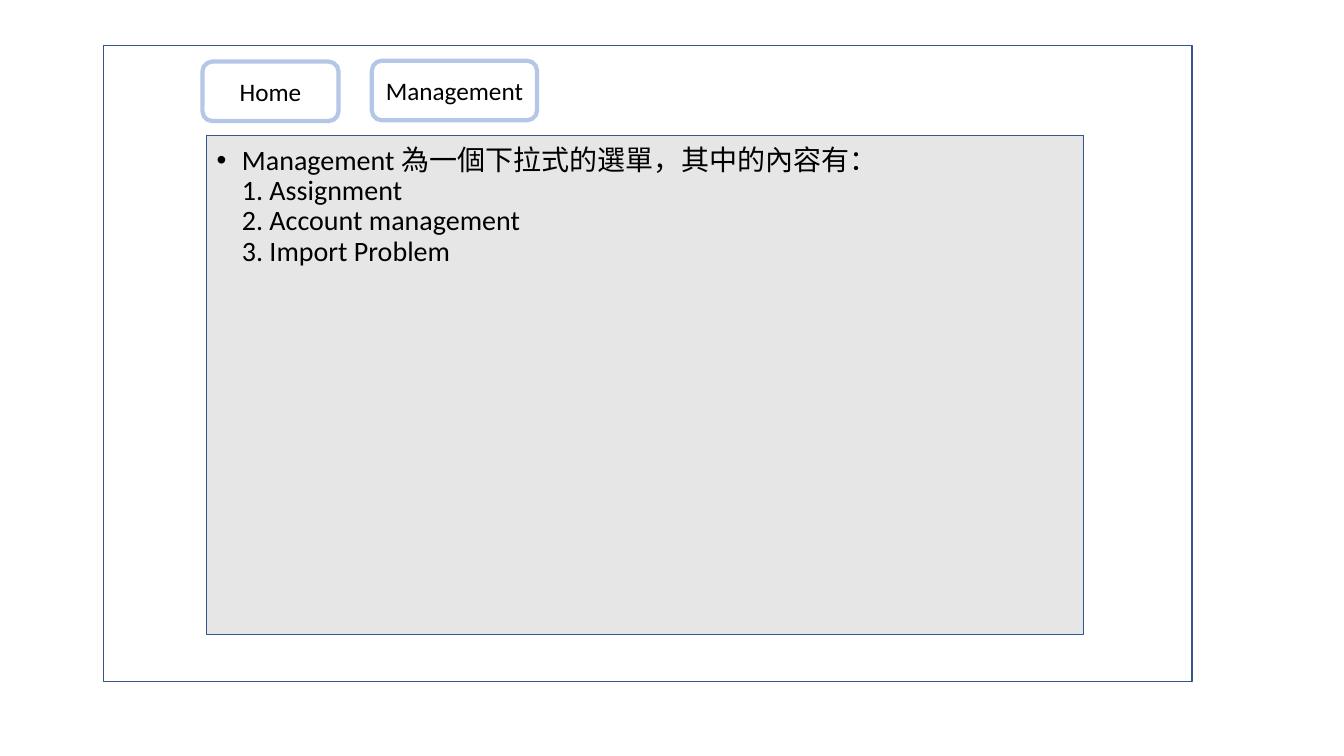
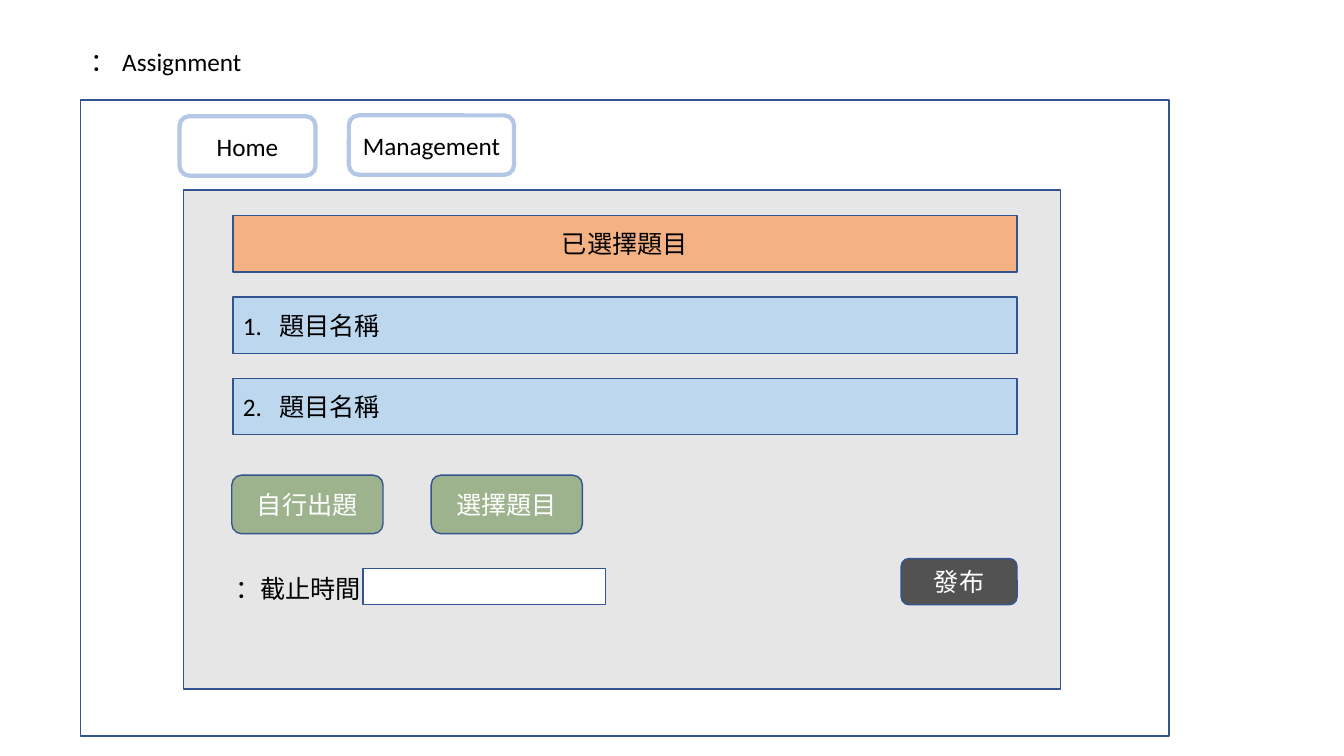
from lxml.etree import SubElement
from pptx import Presentation
from pptx.dml.color import RGBColor
from pptx.enum.shapes import MSO_SHAPE
from pptx.enum.text import MSO_ANCHOR, MSO_AUTO_SIZE, PP_ALIGN
from pptx.oxml.ns import qn
from pptx.util import Pt

COLORS = {
    "outline": "325491", "button": "B4C7E7", "panel": "E7E6E6",
    "heading": "F4B183", "problem": "BDD7EE", "action": "548235",
    "publish": "525252", "white": "FFFFFF", "black": "000000",
}
FONT = "Calibri"


def write_text(shape, text, size=18, color="black", align=PP_ALIGN.CENTER,
               anchor=MSO_ANCHOR.MIDDLE, rtl=False, bullet=None, tab=None,
               spacing=None):
    frame = shape.text_frame
    frame.word_wrap = True
    frame.auto_size = MSO_AUTO_SIZE.NONE
    frame.vertical_anchor = anchor
    frame.text = text
    paragraph = frame.paragraphs[0]
    props = paragraph._p.get_or_add_pPr()
    if rtl:
        props.set("rtl", "1")
    if bullet:
        props.set("marL", str(Pt(18)))
        props.set("indent", str(-Pt(18)))
        SubElement(props, qn("a:buChar"), char=bullet)
    if tab:
        stops = SubElement(props, qn("a:tabLst"))
        SubElement(stops, qn("a:tab"), pos=str(Pt(tab)), algn="l")
    paragraph.alignment = align
    paragraph.space_before = Pt(0)
    if spacing:
        paragraph.line_spacing = spacing
    for line_break in paragraph._p.findall(qn("a:br")):
        SubElement(line_break, qn("a:rPr"), sz=str(size * 100))
    for run in paragraph.runs:
        run.font.name = FONT
        run.font.size = Pt(size)
        run.font.bold = False
        run.font.color.rgb = RGBColor.from_string(COLORS[color])


def add_box(shapes, left, top, width, height, fill=None, line="outline",
            weight=1, rounded=False):
    kind = MSO_SHAPE.ROUNDED_RECTANGLE if rounded else MSO_SHAPE.RECTANGLE
    box = shapes.add_shape(kind, Pt(left), Pt(top), Pt(width), Pt(height))
    box.shadow.inherit = False
    if fill:
        box.fill.solid()
        box.fill.fore_color.rgb = RGBColor.from_string(COLORS[fill])
    else:
        box.fill.background()
    box.line.color.rgb = RGBColor.from_string(COLORS[line])
    box.line.width = Pt(weight)
    return box


prs = Presentation()
prs.slide_width, prs.slide_height = Pt(960), Pt(540)
menu_slide = prs.slides.add_slide(prs.slide_layouts[1])
assignment_slide = prs.slides.add_slide(prs.slide_layouts[5])

# Page frame with navigation, shared by both slides
for slide, left, top in ((menu_slide, 74, 32.4), (assignment_slide, 57.6, 71.4)):
    page = slide.shapes.add_group_shape().shapes
    add_box(page, left, top, 777.6, 454.3, fill="white")
    add_box(page, left + 73.6, top + 64.4, 626.4, 356.4, fill="panel")
    for name, dx, dy, width in (("Home", 70.6, 11.6, 97.2),
                                ("Management", 191.6, 11, 118)):
        nav = add_box(page, left + dx, top + dy, width, 42.5,
                      line="button", weight=3, rounded=True)
        write_text(nav, name)

# Slide 1: contents of the drop-down menu
menu_title = menu_slide.shapes.title._element
menu_title.getparent().remove(menu_title)
menu_list = menu_slide.placeholders[1]
menu_list.left, menu_list.top = Pt(147.6), Pt(100.8)
menu_list.width, menu_list.height = Pt(800), Pt(342.7)
write_text(menu_list,
           "Management 為一個下拉式的選單，其中的內容有：\v1. Assignment"
           "\v2. Account management\v3. Import Problem",
           size=20, align=PP_ALIGN.LEFT, anchor=MSO_ANCHOR.TOP,
           bullet="•", spacing=0.9)
menu_slide.shapes._spTree.append(menu_list._element)  # in front of the panel

# Slide 2: title
heading = assignment_slide.shapes.title
heading.left, heading.top = Pt(57.6), Pt(29.5)
heading.width, heading.height = Pt(432.7), Pt(29)
write_text(heading, "Assignment ：", align=PP_ALIGN.LEFT,
           anchor=MSO_ANCHOR.TOP, rtl=True)

# Selected problems
shapes = assignment_slide.shapes
problem_rows = (
    ("已選擇題目", "heading", PP_ALIGN.CENTER),
    ("1.\t題目名稱", "problem", PP_ALIGN.LEFT),
    ("2.\t題目名稱", "problem", PP_ALIGN.LEFT),
)
for index, (text, fill, align) in enumerate(problem_rows):
    row = add_box(shapes, 166.3, 154 + 58.1 * index, 560.2, 40.3, fill=fill)
    write_text(row, text, align=align, tab=26 if "\t" in text else None)

# Ways to add a problem
for index, text in enumerate(("自行出題", "選擇題目")):
    action = add_box(shapes, 165.6 + 142.4 * index, 339.4, 108, 41.8,
                     fill="action", rounded=True)
    tint = action._element.spPr.find(qn("a:solidFill"))[0]
    SubElement(tint, qn("a:alpha"), val="50000")
    write_text(action, text, color="white")

# Deadline and publishing
deadline = shapes.add_textbox(Pt(157), Pt(406), Pt(108), Pt(29))
write_text(deadline, "截止時間：", align=PP_ALIGN.RIGHT,
           anchor=MSO_ANCHOR.TOP, rtl=True)
add_box(shapes, 259.2, 406, 173.5, 26, fill="white")
publish = add_box(shapes, 643.7, 399, 82.8, 33, fill="publish", rounded=True)
write_text(publish, "發布", color="white")

prs.save("out.pptx")
